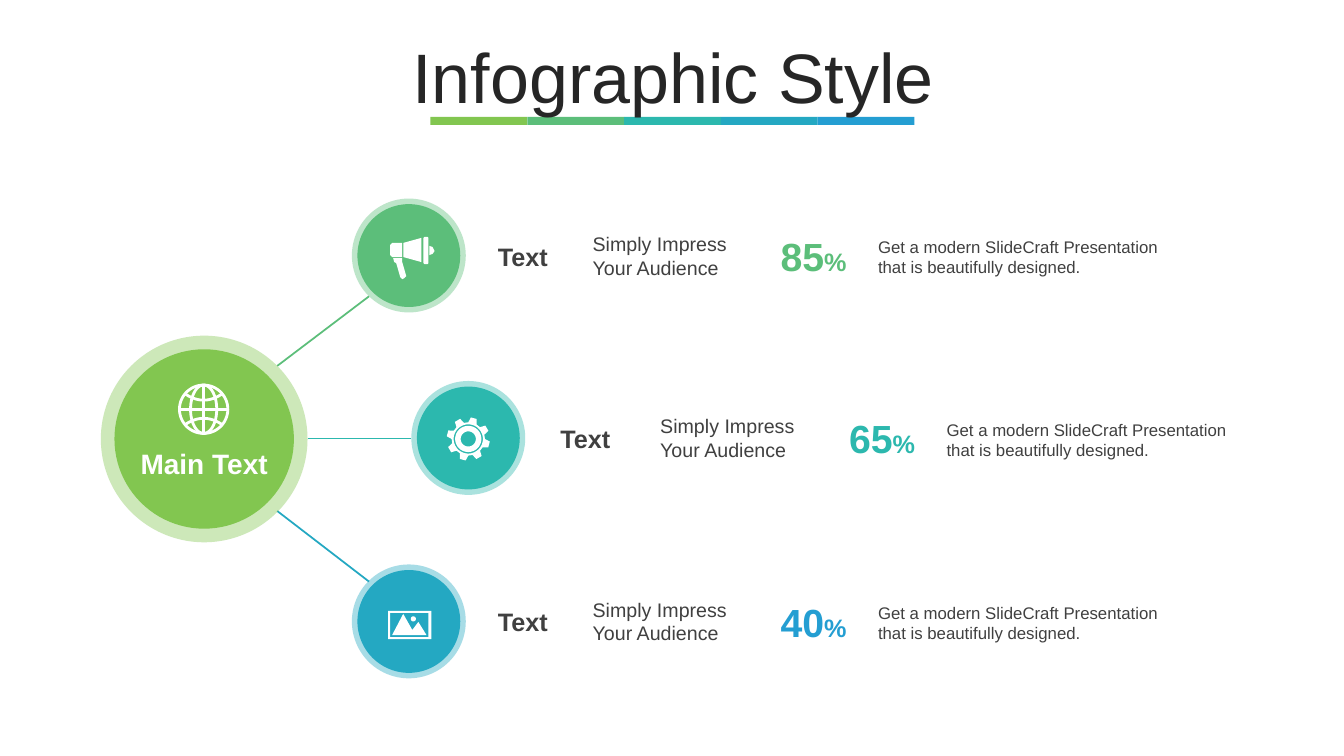
from math import cos, radians, sin

from lxml import etree
from pptx import Presentation
from pptx import util as u
from pptx.dml.color import RGBColor
from pptx.enum import shapes, text
from pptx.oxml.ns import qn

LIME = RGBColor(0x82, 0xC6, 0x50)
GREEN = RGBColor(0x5C, 0xBE, 0x7A)
TEAL = RGBColor(0x2C, 0xB8, 0xAE)
CYAN = RGBColor(0x24, 0xA8, 0xC2)
BLUE = RGBColor(0x24, 0x9E, 0xD2)
WHITE = RGBColor(0xFF, 0xFF, 0xFF)
INK = RGBColor(0x26, 0x26, 0x26)
GREY = RGBColor(0x40, 0x40, 0x40)

TITLE = "Infographic Style"
MAIN_LABEL = "Main Text"
BAR_COLORS = [LIME, GREEN, TEAL, CYAN, BLUE]
LABEL = "Text"
TAGLINE = ["Simply Impress", "Your Audience"]
DETAIL = "Get a modern SlideCraft Presentation that is beautifully designed."
ROWS = [
    dict(top=197, color=GREEN, value="85", value_color=GREEN,
         lefts=(349, 484, 578, 759, 861), link=(366, 294, 275, 363)),
    dict(top=378, color=TEAL, value="65", value_color=TEAL,
         lefts=(408, 546, 645, 827, 929), link=(408, 435, 305, 435)),
    dict(top=560, color=CYAN, value="40", value_color=BLUE,
         lefts=(349, 484, 578, 759, 861), link=(366, 577, 275, 507)),
]
MEGAPHONE = [
    [(390, 256), (399, 256), (399, 260), (403, 274), (401, 276), (399, 277),
     (397, 275), (393, 261), (391, 260)],
    [(426, 244), (429, 245), (431, 249), (429, 252), (426, 253)],
    [(389, 241), (399, 241), (399, 255), (389, 255), (387, 253), (387, 243)],
    [(418, 236), (418, 260), (400, 255), (400, 241)],
    [(421, 235), (424, 235), (425, 236), (425, 261), (424, 262), (421, 262),
     (420, 261), (420, 236)],
]
MOUNTAINS = [(400, 609), (409, 625), (415, 617), (423, 630), (389, 630)]

SCALE = 9144


def px(*lengths):
    return [u.Emu(round(length * SCALE)) for length in lengths]


def add_fill(page, kind, color, left, top, width, height, opacity=100):
    shape = page.shapes.add_shape(kind, *px(left, top, width, height))
    shape.shadow.inherit = False
    shape.fill.solid()
    shape.fill.fore_color.rgb = color
    shape.line.fill.background()
    if opacity < 100:
        tint = shape.fill._xPr.find(qn("a:solidFill"))[0]
        etree.SubElement(tint, qn("a:alpha")).set("val", str(opacity * 1000))


def add_disc(page, color, left, top, size, inset):
    oval = shapes.MSO_SHAPE.OVAL
    inner = size - 2 * inset
    add_fill(page, oval, color, left, top, size, size, opacity=40)
    add_fill(page, oval, color, left + inset, top + inset, inner, inner)


def add_text(page, lines, left, top, width, height, size, color=GREY, bold=False,
             align=text.PP_ALIGN.LEFT, anchor=text.MSO_ANCHOR.TOP, spacing=None):
    box = page.shapes.add_textbox(*px(left, top, width, height))
    frame = box.text_frame
    frame.word_wrap = True
    frame.vertical_anchor = anchor
    for index, spans in enumerate(lines):
        para = frame.add_paragraph() if index else frame.paragraphs[0]
        para.alignment = align
        if spacing:
            para.line_spacing = spacing
        for content, points in [(spans, size)] if isinstance(spans, str) else spans:
            span = para.add_run()
            span.text = content
            span.font.name = "Arial"
            span.font.size = u.Pt(points)
            span.font.bold = bold
            span.font.color.rgb = color


def add_link(page, color, ends):
    link = page.shapes.add_connector(shapes.MSO_CONNECTOR.STRAIGHT, *px(*ends))
    link.line.color.rgb = color
    link.line.width = u.Pt(1.25)
    etree.SubElement(link._element.spPr, qn("a:effectLst"))


def add_icon(page, contours, closed=True):
    paths = [[px(*point) for point in contour] for contour in contours]
    builder = page.shapes.build_freeform(*paths[0][0], scale=1.0)
    for index, path in enumerate(paths):
        if index:
            builder.move_to(*path[0])
        builder.add_line_segments(path[1:], close=closed)
    icon = builder.convert_to_shape()
    icon.shadow.inherit = False
    if closed:
        icon.fill.solid()
        icon.fill.fore_color.rgb = WHITE
        icon.line.fill.background()
    else:
        icon.fill.background()
        icon.line.color.rgb = WHITE
        icon.line.width = u.Pt(2)


def polar(x, y, across, down, angle):
    return x + across * cos(radians(angle)), y + down * sin(radians(angle))


def ellipse(x, y, across, down):
    return [polar(x, y, across, down, angle) for angle in range(0, 361, 6)]


def globe(x, y, radius):
    parallels = [[(x + dx, y + side * (9 + 6 * (dx / 18) ** 2))
                  for dx in range(-18, 19, 3)] for side in (-1, 1)]
    return [ellipse(x, y, radius, radius), ellipse(x, y, 13, radius),
            [(x - radius, y), (x + radius, y)],
            [(x, y - radius), (x, y + radius)], *parallels]


def gear(x, y):
    corners = [(-15, 16.5), (-8, 21.5), (8, 21.5), (15, 16.5)]
    teeth = [polar(x, y, radius, radius, 45 * tooth - 75 + turn)
             for tooth in range(8) for turn, radius in corners]
    return [teeth] + [ellipse(x, y, radius, radius) for radius in (14.5, 13, 7.5)]


def landscape():
    frames = [[(left, top), (right, top), (right, bottom), (left, bottom)]
              for left, top, right, bottom in
              [(385, 606, 428, 634), (387, 608, 425, 632)]]
    return [*frames, MOUNTAINS, ellipse(410, 614, 2.5, 2.5)]


def main():
    deck = Presentation()
    deck.slide_width, deck.slide_height = px(1333, 750)
    page = deck.slides.add_slide(deck.slide_layouts[6])
    center, middle = text.PP_ALIGN.CENTER, text.MSO_ANCHOR.MIDDLE

    for index, color in enumerate(BAR_COLORS):
        add_fill(page, shapes.MSO_SHAPE.RECTANGLE, color, 427 + 96 * index, 116, 96, 8)
    add_text(page, [TITLE], 35, 43, 1266, 79, 50, color=INK,
             align=center, anchor=middle, spacing=0.8)

    for row in ROWS:
        top = row["top"]
        disc, label, tagline, value, detail = row["lefts"]
        add_disc(page, row["color"], disc, top, 113, 5.5)
        add_link(page, row["color"], row["link"])
        add_text(page, [LABEL], label, top + 37, 79, 40, 18, bold=True)
        add_text(page, TAGLINE, tagline, top + 28, 173, 57, 14, anchor=middle)
        add_text(page, [[(row["value"], 28), ("%", 18)]], value, top + 28, 96, 57, 28,
                 color=row["value_color"], bold=True, align=center, anchor=middle)
        add_text(page, [DETAIL], detail, top + 33, 321, 51, 12)

    add_disc(page, LIME, 100, 333, 205, 13.5)
    add_text(page, [MAIN_LABEL], 123, 438, 159, 44, 20, color=WHITE,
             bold=True, align=center)
    add_icon(page, globe(202, 406, 24), closed=False)
    add_icon(page, MEGAPHONE)
    add_icon(page, gear(464.5, 435.5))
    add_icon(page, landscape())
    deck.save("out.pptx")


if __name__ == "__main__":
    main()
